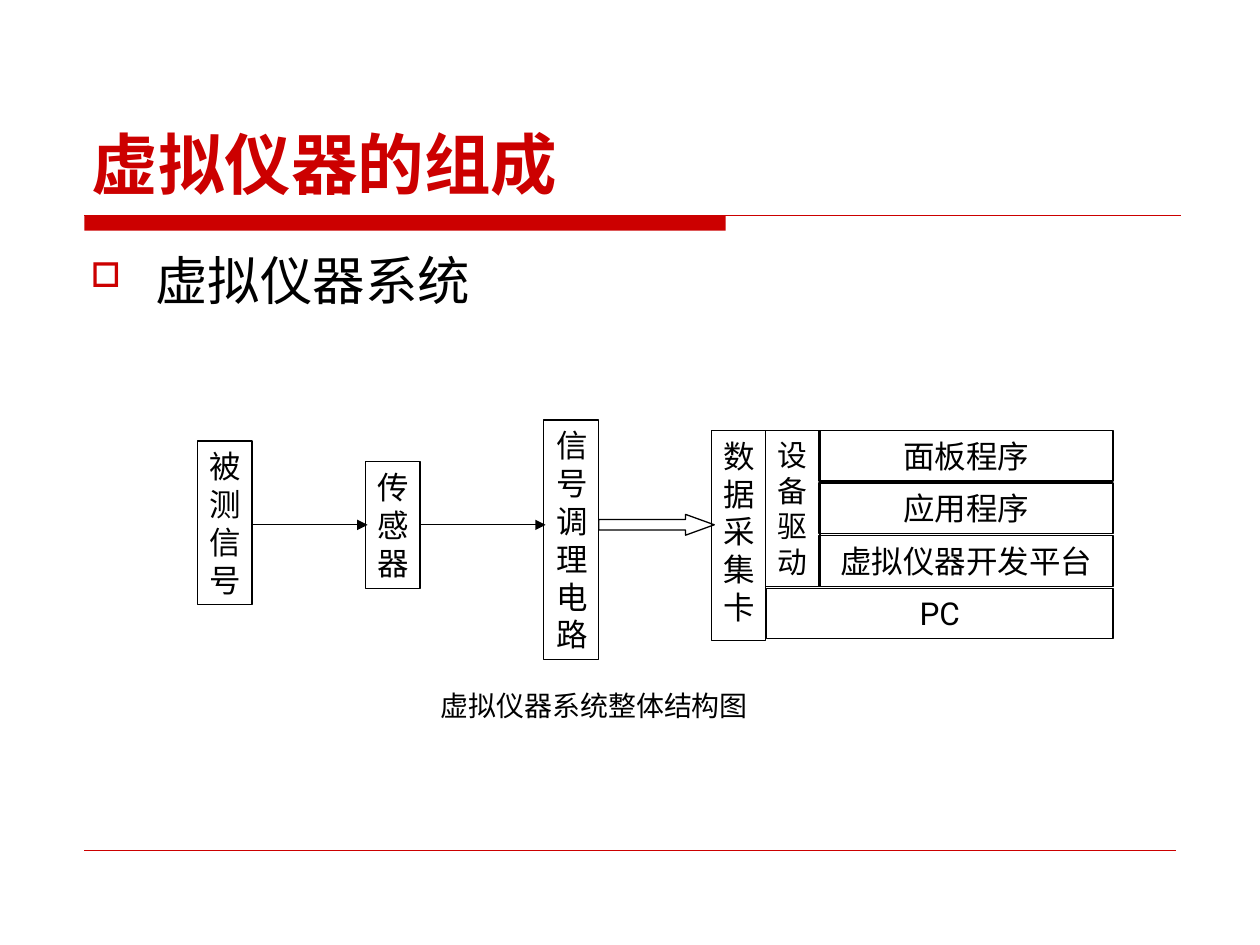
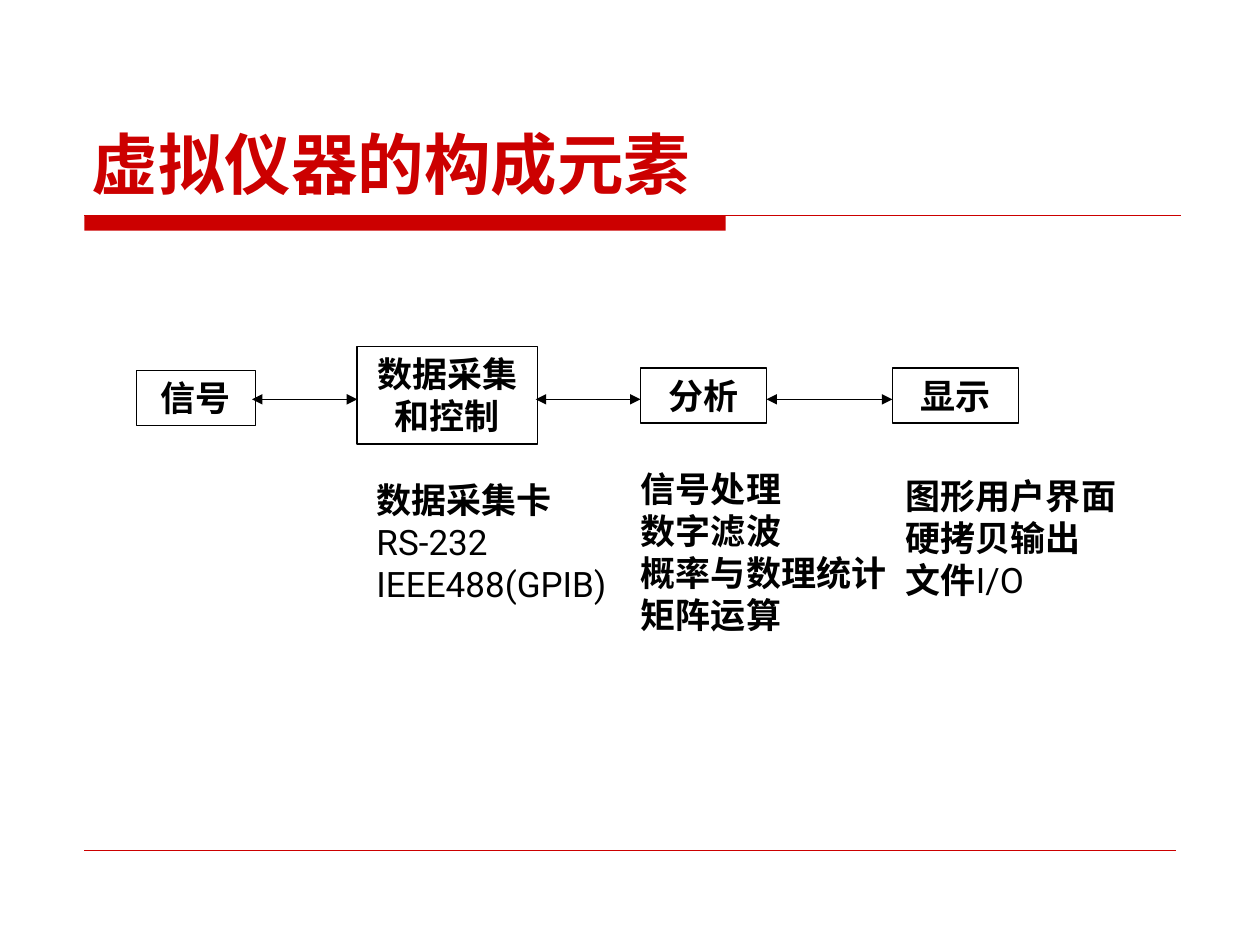
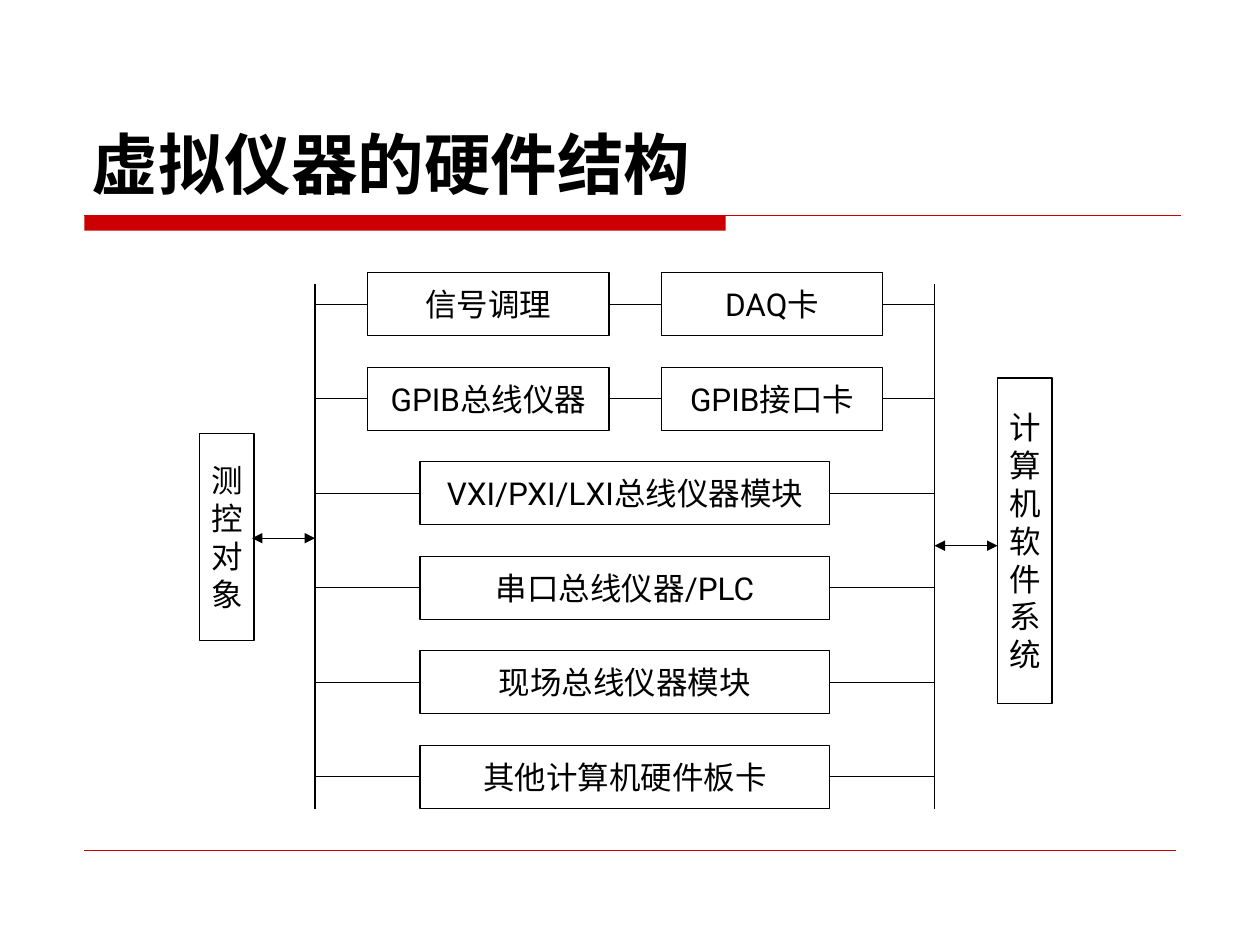
from dataclasses import dataclass

from lxml import etree
from pptx import Presentation
from pptx.dml.color import RGBColor
from pptx.enum.shapes import MSO_CONNECTOR, MSO_SHAPE
from pptx.enum.text import MSO_ANCHOR, MSO_AUTO_SIZE, PP_ALIGN
from pptx.oxml.ns import qn
from pptx.util import Cm, Pt

STRAIGHT = MSO_CONNECTOR.STRAIGHT
RECT, RIGHT_ARROW = MSO_SHAPE.RECTANGLE, MSO_SHAPE.RIGHT_ARROW
TOP, MIDDLE, BOTTOM = MSO_ANCHOR.TOP, MSO_ANCHOR.MIDDLE, MSO_ANCHOR.BOTTOM
LEFT, CENTER = PP_ALIGN.LEFT, PP_ALIGN.CENTER
GROW = MSO_AUTO_SIZE.SHAPE_TO_FIT_TEXT


@dataclass(frozen=True)
class Theme:
    """Colours, fonts and sizes shared by the slides."""
    red: RGBColor = RGBColor(0xCC, 0x00, 0x00)
    black: RGBColor = RGBColor(0x00, 0x00, 0x00)
    white: RGBColor = RGBColor(0xFF, 0xFF, 0xFF)
    heading: str = "DejaVu Sans"
    body: str = "Roboto"
    title: float = 38
    bullet: float = 30
    element: float = 20
    label: float = 18
    driver: float = 17
    caption: float = 16
    stroke: float = 0.75
    hairline: float = 0.25


THEME = Theme()


def write(tf, text, size=THEME.label, font=THEME.body, color=THEME.black,
          bold=False, align=LEFT, anchor=TOP, bullet=None):
    """Fill a text frame from a string or from lines of (text, bold) runs."""
    tf.vertical_anchor = anchor
    lines = [[(text, bold)]] if isinstance(text, str) else text
    for i, line in enumerate(lines):
        p = tf.paragraphs[0] if i == 0 else tf.add_paragraph()
        p.alignment = align
        if bullet:
            add_bullet(p, bullet)
        for words, heavy in line:
            r = p.add_run()
            r.text = words
            r.font.size = Pt(size)
            r.font.bold = heavy
            r.font.color.rgb = color
            r.font.name = font
            etree.SubElement(r.font._element, qn("a:ea"), typeface=font)


def add_bullet(p, char):
    """Give a paragraph a hanging red bullet."""
    pPr = p._p.get_or_add_pPr()
    pPr.set("marL", str(Cm(1.3)))
    pPr.set("indent", str(-Cm(1.3)))
    clr = etree.SubElement(pPr, qn("a:buClr"))
    etree.SubElement(clr, qn("a:srgbClr"), val=str(THEME.red))
    etree.SubElement(pPr, qn("a:buSzPct"), val="65000")
    etree.SubElement(pPr, qn("a:buChar"), char=char)


class Deck:
    """Holds the presentation, its style and the current slide."""

    def __init__(self, theme):
        """Start an empty deck of 4:3 slides."""
        self.theme = theme
        self.prs = Presentation()
        self.prs.slide_width, self.prs.slide_height = Cm(25.4), Cm(19.05)

    def slide(self, title, color=None):
        """Add a slide with its title, red band and footer rule."""
        t = self.theme
        self.s = self.prs.slides.add_slide(self.prs.slide_layouts[6])
        self.shape(1.7, 4.34, 12.93, 0.31, fill=t.red, line=None)
        self.line(1.7, 4.34, 23.8, 4.34, color=t.red)
        self.line(1.7, 17.15, 23.7, 17.15, color=t.red, width=t.hairline)
        self.text(title, 1.6, 0.84, 22.23, 3.38, size=t.title, font=t.heading,
                  color=color or t.red, bold=True, anchor=BOTTOM)

    def shape(self, x, y, w, h, kind=RECT, fill=None, line=THEME.black):
        """Add a preset shape with optional fill and outline."""
        sp = self.s.shapes.add_shape(kind, Cm(x), Cm(y), Cm(w), Cm(h))
        sp.shadow.inherit = False
        if fill is None:
            sp.fill.background()
        else:
            sp.fill.solid()
            sp.fill.fore_color.rgb = fill
        if line is None:
            sp.line.fill.background()
        else:
            sp.line.color.rgb = line
            sp.line.width = Pt(self.theme.stroke)
        return sp

    def box(self, text, x, y, w, h, fill=None, **style):
        """Add an outlined rectangle that carries text."""
        sp = self.shape(x, y, w, h, fill=fill)
        sp.text_frame.word_wrap = True
        write(sp.text_frame, text, **style)

    def text(self, text, x, y, w, h, wrap=True, **style):
        """Add a text box."""
        tf = self.s.shapes.add_textbox(Cm(x), Cm(y), Cm(w), Cm(h)).text_frame
        tf.word_wrap = wrap
        if not wrap:
            tf.auto_size = GROW
        write(tf, text, **style)

    def line(self, x1, y1, x2, y2, color=THEME.black, width=THEME.stroke, ends=()):
        """Add a straight line with arrowheads at the named ends."""
        c = self.s.shapes.add_connector(STRAIGHT, Cm(x1), Cm(y1), Cm(x2), Cm(y2))
        c.line.color.rgb = color
        c.line.width = Pt(width)
        for end in ends:
            etree.SubElement(c.line._get_or_add_ln(), qn(f"a:{end}"), type="triangle")
        etree.SubElement(c._element.spPr, qn("a:effectLst"))


TO_END = ("tailEnd",)
BOTH = ("headEnd", "tailEnd")


def system_slide(d):
    """Show the signal chain from the measured signal to the PC."""
    t = d.theme
    d.slide("虚拟仪器的组成")
    d.text("虚拟仪器系统", 1.58, 4.87, 22.23, 11.86, size=t.bullet,
           font=t.heading, bullet="□")
    for label, x, y, h, size in [
        ("被测信号", 3.98, 8.89, 3.3, t.label),
        ("传感器", 7.37, 9.31, 2.55, t.label),
        ("信号调理电路", 10.96, 8.47, 4.83, t.label),
        ("数据采集卡", 14.34, 8.68, 4.23, t.label),
        ("设备驱动", 15.43, 8.68, 3.15, t.driver),
    ]:
        d.box(label, x, y, 1.1, h, size=size)
    for i, layer in enumerate(["面板程序", "应用程序", "虚拟仪器开发平台"]):
        d.box(layer, 16.51, 8.68 + 1.06 * i, 5.93, 1.02, align=CENTER)
    d.box("PC", 15.45, 11.86, 6.99, 1.02, align=CENTER)
    d.line(5.08, 10.58, 7.41, 10.58, ends=TO_END)
    d.line(8.47, 10.58, 11.0, 10.58, ends=TO_END)
    arrow = d.shape(12.07, 10.37, 2.33, 0.42, kind=RIGHT_ARROW)
    arrow.adjustments[0], arrow.adjustments[1] = 0.5, 1.38
    d.text("虚拟仪器系统整体结构图", 8.64, 13.76, 6.7, 0.94, wrap=False, size=t.caption)


def elements_slide(d):
    """Show the four elements and what each one covers."""
    size = d.theme.element
    d.slide("虚拟仪器的构成元素")
    for label, x, y, w, h in [
        ("信号", 2.75, 7.47, 2.4, 1.11),
        ("数据采集和控制", 7.2, 6.99, 3.64, 1.96),
        ("分析", 12.91, 7.42, 2.54, 1.11),
        ("显示", 17.99, 7.42, 2.54, 1.11),
    ]:
        d.box(label, x, y, w, h, size=size, bold=True, align=CENTER)
    for x1, x2 in [(5.08, 7.2), (10.8, 12.91), (15.45, 17.99)]:
        d.line(x1, 8.05, x2, 8.05, ends=BOTH)
    for x, y, w, h, lines in [
        (7.34, 9.53, 5.23, 2.79,
         [[("数据采集卡", True)], [("RS-232", False)], [("IEEE488(GPIB)", False)]]),
        (12.67, 9.3, 5.46, 3.66,
         [[(item, True)] for item in ("信号处理", "数字滤波", "概率与数理统计", "矩阵运算")]),
        (18.01, 9.45, 4.75, 2.79,
         [[("图形用户界面", True)], [("硬拷贝输出", True)],
          [("文件", True), ("I/O", False)]]),
    ]:
        d.text(lines, x, y, w, h, wrap=False, size=size)


def hardware_slide(d):
    """Show the hardware routes between the object and the computer."""
    left_bus, right_bus, row_h = 6.35, 18.84, 1.27
    centred = {"align": CENTER, "anchor": MIDDLE}
    d.slide("虚拟仪器的硬件结构", color=d.theme.black)
    for x in (left_bus, right_bus):
        d.line(x, 5.72, x, 16.3)
    for i, row in enumerate([
        ("信号调理", "DAQ卡"),
        ("GPIB总线仪器", "GPIB接口卡"),
        ("VXI/PXI/LXI总线仪器模块",),
        ("串口总线仪器/PLC",),
        ("现场总线仪器模块",),
        ("其他计算机硬件板卡",),
    ]):
        y = 5.5 + 1.5 * row_h * i
        d.line(left_bus, y + row_h / 2, right_bus, y + row_h / 2)
        places = [(7.41, 4.87), (13.34, 4.45)] if len(row) == 2 else [(8.47, 8.26)]
        for label, (x, w) in zip(row, places):
            d.box(label, x, y, w, row_h, fill=d.theme.white, **centred)
    d.box("测控对象", 4.02, 8.74, 1.1, 4.17, **centred)
    d.box("计算机软件系统", 20.11, 7.62, 1.1, 6.56, **centred)
    d.line(5.08, 10.85, left_bus, 10.85, ends=BOTH)
    d.line(right_bus, 11.0, 20.11, 11.0, ends=BOTH)


def main():
    """Build the three slides and save them."""
    d = Deck(THEME)
    system_slide(d)
    elements_slide(d)
    hardware_slide(d)
    d.prs.save("out.pptx")


if __name__ == "__main__":
    main()
